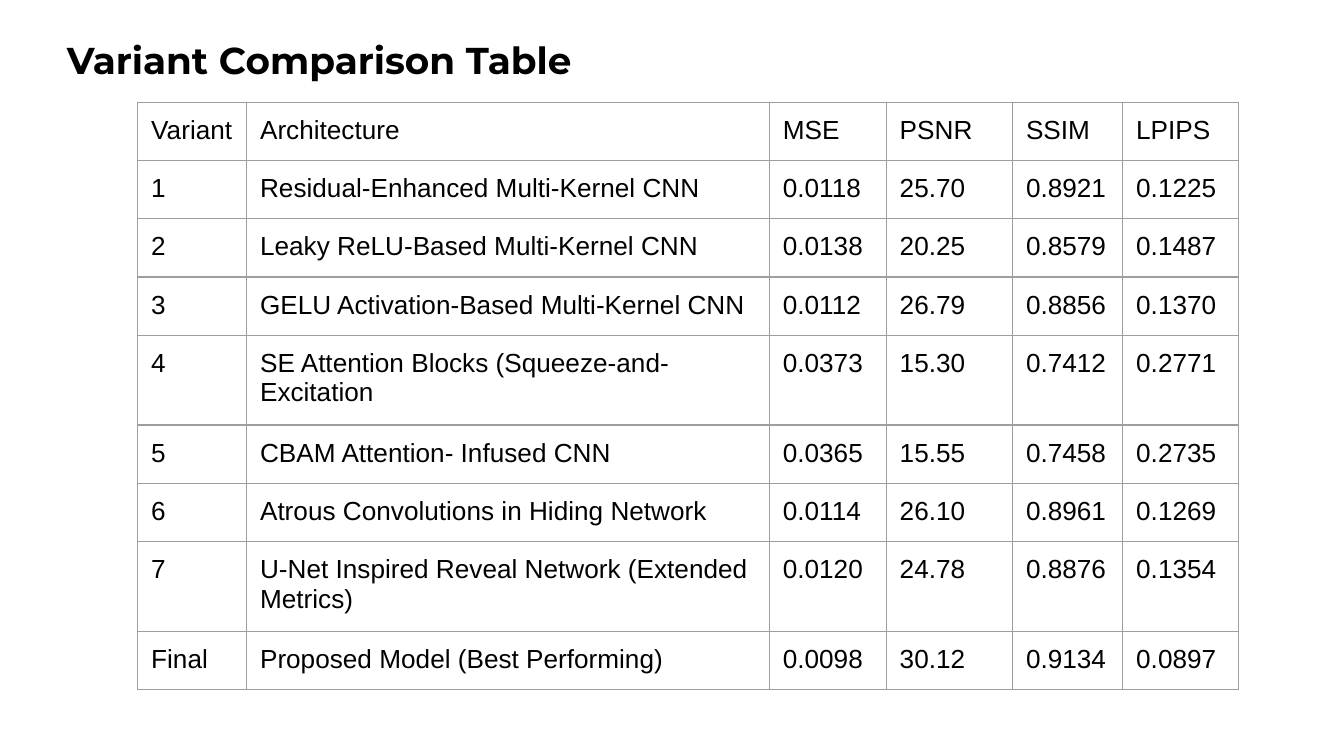
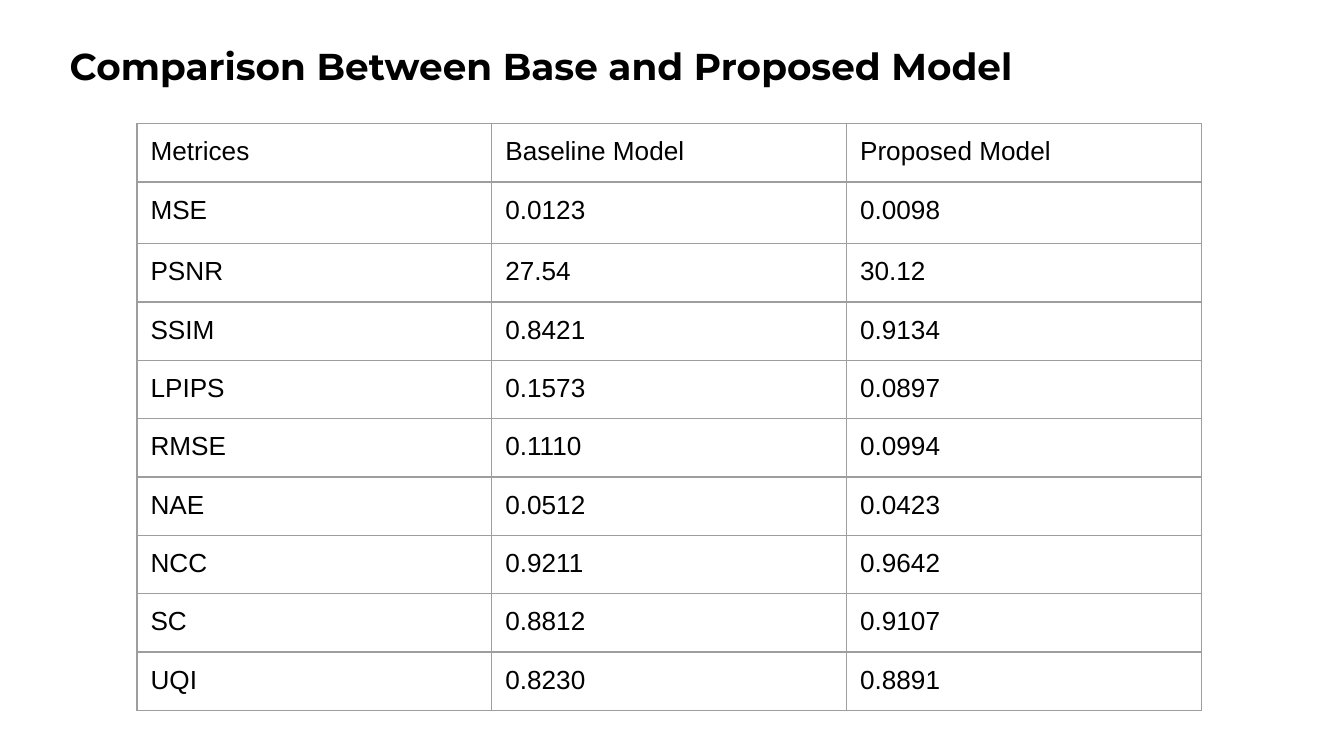
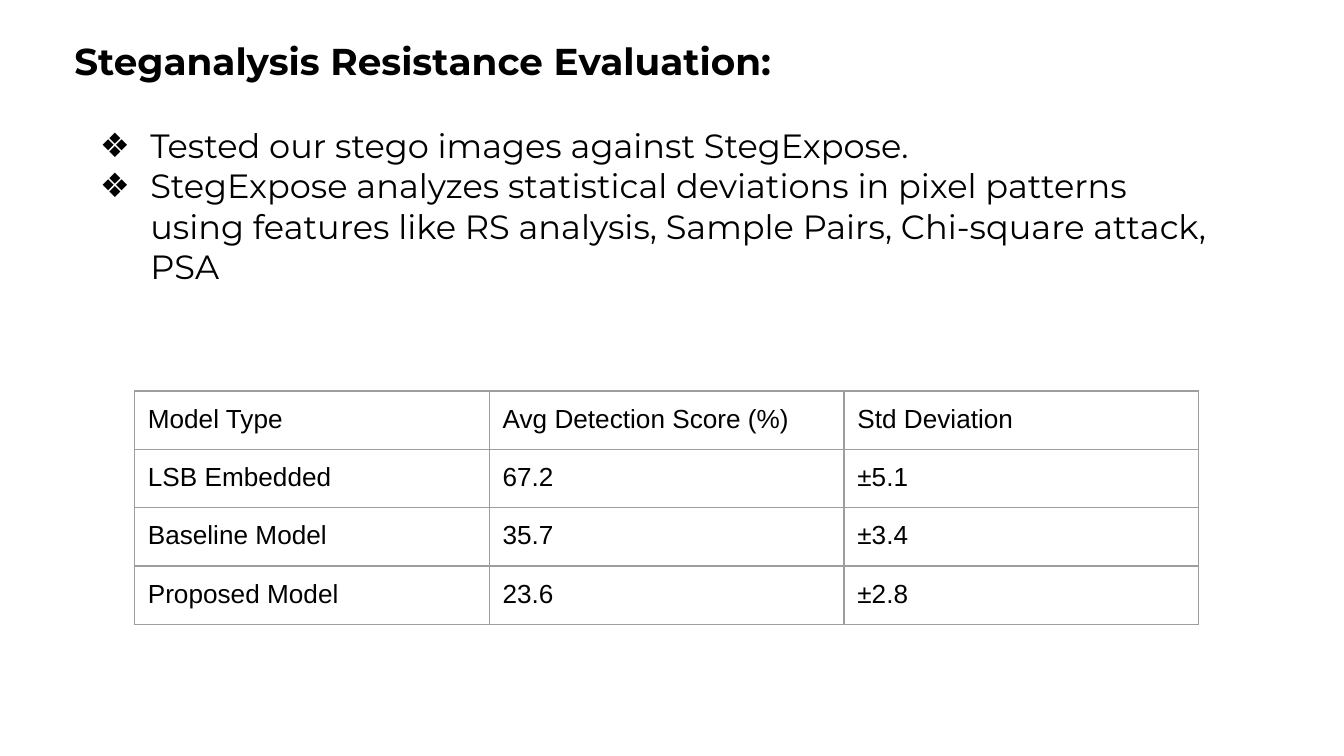
from dataclasses import dataclass

import pptx
import pptx.dml.color
import pptx.oxml
import pptx.oxml.ns
import pptx.util

# Shared style
PX = 4572  # EMU per px, 200 px to the inch
PAD = 20
ROW = 84
BLACK = "000000"
WHITE = "FFFFFF"
GREY = "9E9E9E"
HEAD = "Montserrat"
BODY = "Arial"
PLAIN = "{2D5ABB26-0587-4C30-8999-92F81FD0307C}"  # table style without grid


@dataclass
class Box:
    left: int
    top: int
    width: int
    height: int


@dataclass
class Grid:
    left: int
    top: int
    cols: list[int]
    rows: list[int]
    data: list[list[str]]


def px(size: int) -> pptx.util.Emu:
    return pptx.util.Emu(size * PX)


def color(code: str) -> pptx.dml.color.RGBColor:
    return pptx.dml.color.RGBColor.from_string(code)


def add_xml(parent, tag: str, body: str = "", **attrs) -> None:
    space = pptx.oxml.ns.nsdecls("a")
    pairs = " ".join(f'{key}="{val}"' for key, val in attrs.items())
    parent.append(pptx.oxml.parse_xml(f"<a:{tag} {space} {pairs}>{body}</a:{tag}>"))


def fill_xml(code: str) -> str:
    return f'<a:solidFill><a:srgbClr val="{code}"/></a:solidFill>'


def set_base(deck) -> None:
    """Make the body font the default of the whole deck."""
    for props in deck.element.iter(pptx.oxml.ns.qn("a:defRPr")):
        props.set("sz", "1400")
        for tag in ("a:latin", "a:ea", "a:cs"):
            for face in props.findall(pptx.oxml.ns.qn(tag)):
                face.set("typeface", BODY)


def write(frame, text: str, *, size: int = 14, font: str = BODY,
          bold: bool = False, mark: str = "") -> None:
    """Put text in a frame, one paragraph a line, with an optional bullet."""
    frame.text = text
    for para in frame.paragraphs:
        if mark:
            props = para._p.get_or_add_pPr()
            props.set("marL", str(px(100)))
            props.set("indent", str(px(-75)))
            add_xml(props, "buClr", f'<a:srgbClr val="{BLACK}"/>')
            add_xml(props, "buSzPts", val=size * 100)
            add_xml(props, "buFont", typeface=font)
            add_xml(props, "buChar", char=mark)
        for run in para.runs:
            run.font.size = pptx.util.Pt(size)
            run.font.name = font
            run.font.bold = bold
            run.font.color.rgb = color(BLACK)
        add_xml(para._p, "endParaRPr", f'<a:latin typeface="{font}"/>', sz=size * 100)


def add_text(slide, box: Box, text: str, **style) -> None:
    shape = slide.shapes.add_textbox(px(box.left), px(box.top), px(box.width), px(box.height))
    frame = shape.text_frame
    frame.word_wrap = True
    frame.margin_left = frame.margin_right = px(PAD)
    frame.margin_top = frame.margin_bottom = px(PAD)
    write(frame, text, **style)


def add_title(slide, box: Box, text: str) -> None:
    add_text(slide, box, text, size=20, font=HEAD, bold=True)


def style_cell(cell) -> None:
    cell.margin_left = cell.margin_right = px(PAD)
    cell.margin_top = cell.margin_bottom = px(PAD)
    props = cell._tc.get_or_add_tcPr()
    for side in ("lnL", "lnR", "lnT", "lnB"):
        add_xml(props, side, fill_xml(GREY), w=pptx.util.Pt(0.75))
    cell.fill.background()


def add_grid(slide, grid: Grid) -> None:
    table = slide.shapes.add_table(
        len(grid.rows), len(grid.cols), px(grid.left), px(grid.top),
        px(sum(grid.cols)), px(sum(grid.rows))).table
    table.first_row = table.horz_banding = False
    table._tbl.tblPr.find(pptx.oxml.ns.qn("a:tableStyleId")).text = PLAIN
    for col, width in zip(table.columns, grid.cols):
        col.width = px(width)
    for row, high, line in zip(table.rows, grid.rows, grid.data):
        row.height = px(high)
        for cell, text in zip(row.cells, line):
            style_cell(cell)
            write(cell.text_frame, text)


def add_slide(deck):
    slide = deck.slides.add_slide(deck.slide_layouts[6])
    slide.background.fill.solid()
    slide.background.fill.fore_color.rgb = color(WHITE)
    return slide


# Table content
VARIANTS = [
    ["Variant", "Architecture", "MSE", "PSNR", "SSIM", "LPIPS"],
    ["1", "Residual-Enhanced Multi-Kernel CNN", "0.0118", "25.70", "0.8921", "0.1225"],
    ["2", "Leaky ReLU-Based Multi-Kernel CNN", "0.0138", "20.25", "0.8579", "0.1487"],
    ["3", "GELU Activation-Based Multi-Kernel CNN", "0.0112", "26.79", "0.8856", "0.1370"],
    ["4", "SE Attention Blocks (Squeeze-and-\nExcitation", "0.0373", "15.30", "0.7412", "0.2771"],
    ["5", "CBAM Attention- Infused CNN", "0.0365", "15.55", "0.7458", "0.2735"],
    ["6", "Atrous Convolutions in Hiding Network", "0.0114", "26.10", "0.8961", "0.1269"],
    ["7", "U-Net Inspired Reveal Network (Extended Metrics)",
     "0.0120", "24.78", "0.8876", "0.1354"],
    ["Final", "Proposed Model (Best Performing)", "0.0098", "30.12", "0.9134", "0.0897"],
]
METRICS = [
    ["Metrices", "Baseline Model", "Proposed Model"],
    ["MSE", "0.0123", "0.0098"],
    ["PSNR", "27.54", "30.12"],
    ["SSIM", "0.8421", "0.9134"],
    ["LPIPS", "0.1573", "0.0897"],
    ["RMSE", "0.1110", "0.0994"],
    ["NAE", "0.0512", "0.0423"],
    ["NCC", "0.9211", "0.9642"],
    ["SC", "0.8812", "0.9107"],
    ["UQI", "0.8230", "0.8891"],
]
SCORES = [
    ["Model Type", "Avg Detection Score (%)", "Std Deviation"],
    ["LSB Embedded", "67.2", "±5.1"],
    ["Baseline Model", "35.7", "±3.4"],
    ["Proposed Model", "23.6", "±2.8"],
]
THIRDS = [528] * 3
TESTS = (
    "Tested our stego images against StegExpose.\n"
    "StegExpose analyzes statistical deviations in pixel patterns using features "
    "like RS analysis, Sample Pairs, Chi-square attack, PSA"
)


def main() -> None:
    deck = pptx.Presentation()
    deck.slide_width, deck.slide_height = px(2000), px(1125)
    set_base(deck)

    # Variants
    slide = add_slide(deck)
    add_title(slide, Box(80, 35, 1820, 154), "Variant Comparison Table")
    add_grid(slide, Grid(205, 152, [162, 778, 174, 188, 164, 172],
                         [ROW] * len(VARIANTS), VARIANTS))

    # Base and proposed model
    slide = add_slide(deck)
    add_title(slide, Box(84, 44, 1824, 140), "Comparison Between Base and Proposed Model")
    add_grid(slide, Grid(204, 184, THIRDS, [ROW, 92] + [ROW] * (len(METRICS) - 2), METRICS))

    # Steganalysis
    slide = add_slide(deck)
    add_title(slide, Box(91, 37, 1883, 158), "Steganalysis Resistance Evaluation:")
    add_grid(slide, Grid(200, 582, THIRDS, [ROW] * len(SCORES), SCORES))
    add_text(slide, Box(104, 166, 1746, 388), TESTS, size=18, font=HEAD, mark="❖")

    deck.save("out.pptx")


if __name__ == "__main__":
    main()
